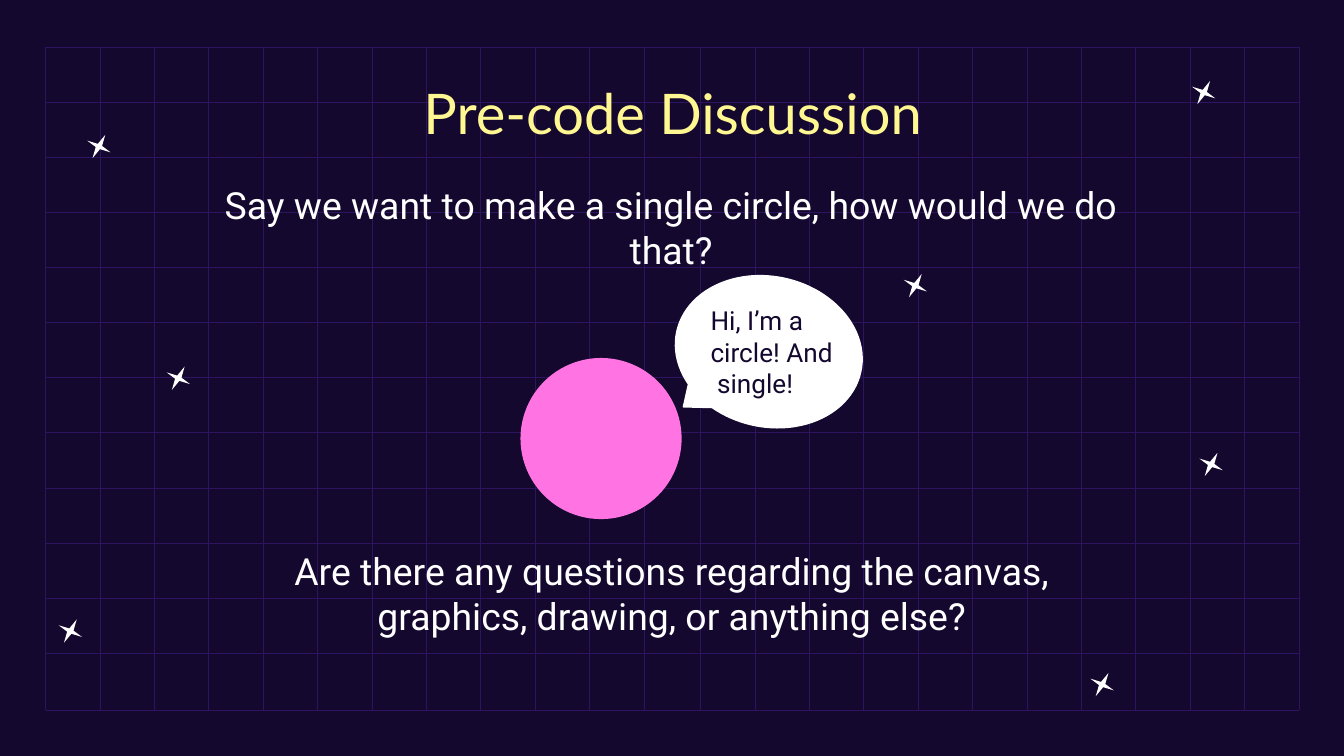
import lxml.etree
import pptx
import pptx.dml.color
import pptx.enum.shapes
import pptx.enum.text
import pptx.oxml.ns
import pptx.util

Cm = pptx.util.Cm
Pt = pptx.util.Pt
SHAPES = pptx.enum.shapes.MSO_SHAPE
ALIGN = pptx.enum.text.PP_ALIGN

colors = {
    "night": "14082E",
    "grid": "2C1461",
    "white": "FFFFFF",
    "yellow": "FFF892",
    "pink": "FF73E2",
}
colors = {name: pptx.dml.color.RGBColor.from_string(code) for name, code in colors.items()}

deck = pptx.Presentation()
deck.slide_width = Cm(25.4)
deck.slide_height = Cm(14.29)
page = deck.slides.add_slide(deck.slide_layouts[6])
page.background.fill.solid()
page.background.fill.fore_color.rgb = colors["night"]


def paint(shape, color, outlined):
    shape.shadow.inherit = False
    shape.fill.solid()
    shape.fill.fore_color.rgb = colors[color]
    if outlined:
        shape.line.color.rgb = colors[color]
        shape.line.width = Pt(0.75)
    else:
        shape.line.fill.background()


def add_text(lines, left, top, width, height, font, size, color, align):
    box = page.shapes.add_textbox(Cm(left), Cm(top), Cm(width), Cm(height))
    frame = box.text_frame
    frame.word_wrap = True
    frame.margin_left = frame.margin_right = Cm(0.25)
    frame.margin_top = frame.margin_bottom = Cm(0.25)
    frame.text = "\n".join(lines)
    for paragraph in frame.paragraphs:
        paragraph.alignment = align
        for span in paragraph.runs:
            span.font.name = font
            span.font.size = Pt(size)
            span.font.color.rgb = colors[color]


# Background grid: two halves of twelve columns, and thirteen rows
left, right, top, bottom = 0.86, 24.55, 0.89, 13.42
half_starts = [left, 13.24]
column_gap = (right - half_starts[1]) / 11
row_gap = (12.35 - top) / 11
columns = [start + i * column_gap for start in half_starts for i in range(12)]
rows = [top + i * row_gap for i in range(12)] + [bottom]
grid_lines = [(x, top, x, bottom) for x in columns]
grid_lines += [(left, y, right, y) for y in rows]
for ends in grid_lines:
    line = page.shapes.add_connector(
        pptx.enum.shapes.MSO_CONNECTOR.STRAIGHT, *[Cm(value) for value in ends]
    )
    line.line.color.rgb = colors["grid"]
    line.line.width = Pt(0.4)
    lxml.etree.SubElement(line._element.spPr, pptx.oxml.ns.qn("a:effectLst"))

# Title and the two questions
add_text(["Pre-code Discussion"], 2.01, 1.24, 21.41, 1.6, "Lato", 30, "yellow", ALIGN.CENTER)
questions = [
    ("Are there any questions regarding the canvas, graphics, drawing, or anything else?",
     4.24, 10.11, 16.92),
    ("Say we want to make a single circle, how would we do that?", 3.35, 3.2, 18.67),
]
for question, x, y, width in questions:
    add_text([question], x, y, width, 2.51, "Roboto", 20, "white", ALIGN.CENTER)

# Pink circle
circle = page.shapes.add_shape(SHAPES.OVAL, Cm(9.85), Cm(6.78), Cm(3.02), Cm(3.02))
paint(circle, "pink", True)

# Four-pointed stars, each outline symmetric about its centre
half_outline = [(-0.06, 0.01), (-0.12, 0.22), (0.02, 0.05), (0.22, 0.11)]
outline = half_outline + [(-x, -y) for x, y in half_outline]
star_centers = [
    (3.37, 7.15), (20.83, 12.94), (22.75, 1.75), (22.89, 8.78),
    (1.33, 11.93), (1.87, 2.77), (17.3, 5.4),
]
for center_x, center_y in star_centers:
    points = [(Cm(center_x + x), Cm(center_y + y)) for x, y in outline]
    builder = page.shapes.build_freeform(*points[0])
    builder.add_line_segments(points[1:], close=True)
    paint(builder.convert_to_shape(), "white", False)

# Speech bubble
bubble = page.shapes.add_shape(
    SHAPES.OVAL_CALLOUT, Cm(12.75), Cm(5.23), Cm(3.56), Cm(2.84)
)
bubble.rotation = 12.4
bubble.adjustments[0] = -0.38
bubble.adjustments[1] = 0.48
paint(bubble, "white", True)
add_text(["Hi, I’m a", "circle! And", " single!"], 13.18, 5.51, 2.87, 2.31,
         "Roboto", 14, "night", ALIGN.LEFT)

deck.save("out.pptx")
